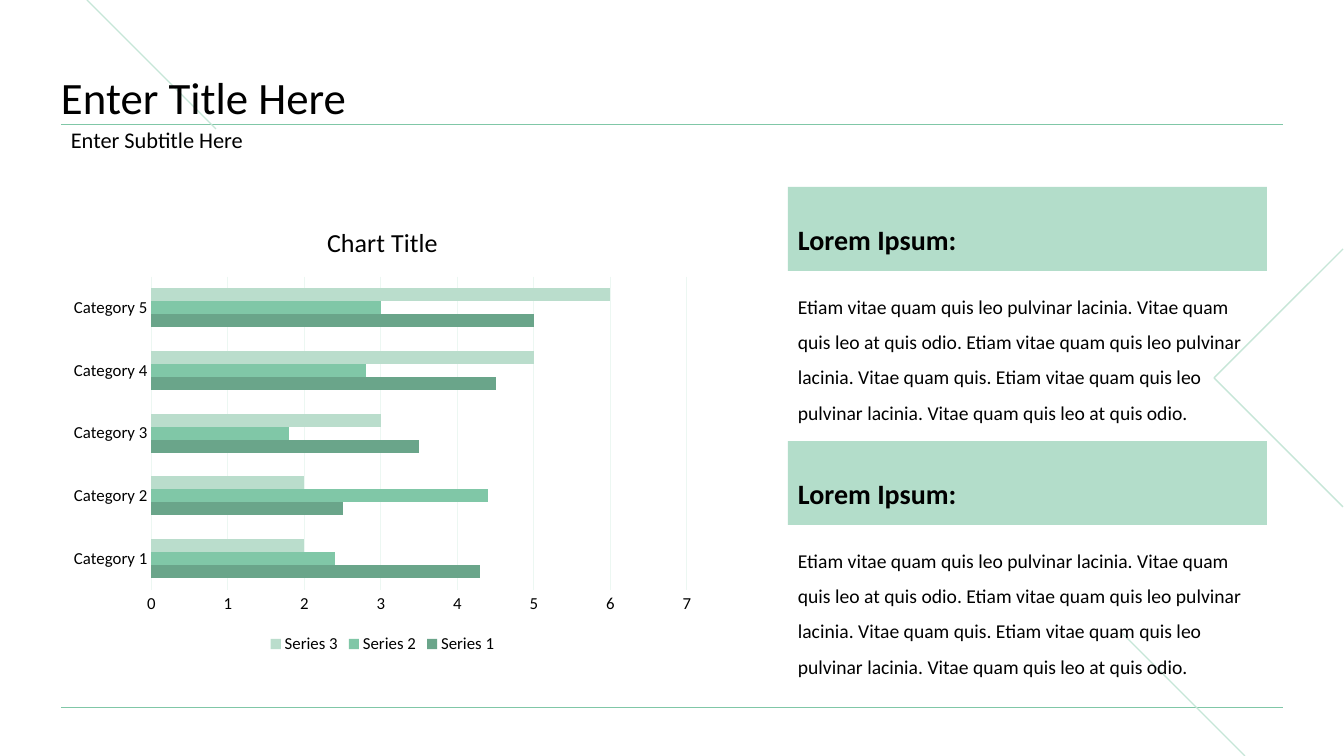
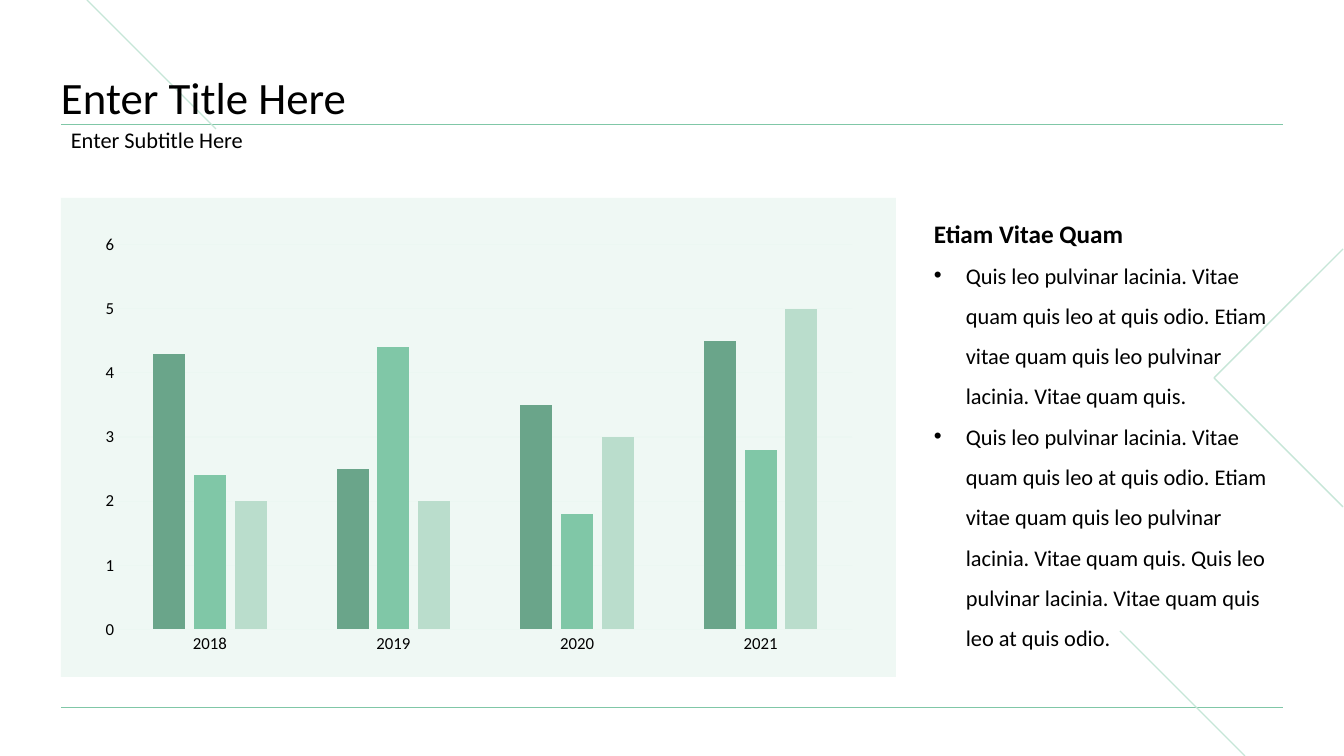
"""Build two chart slides that share one green line-art layout."""
from lxml.etree import SubElement
from pptx import Presentation
from pptx.chart.data import CategoryChartData
from pptx.dml.color import RGBColor
from pptx.enum.chart import XL_CHART_TYPE, XL_LEGEND_POSITION, XL_TICK_MARK
from pptx.enum.shapes import MSO_CONNECTOR, MSO_SHAPE
from pptx.enum.text import MSO_ANCHOR, MSO_AUTO_SIZE, PP_ALIGN
from pptx.oxml.ns import qn
from pptx.util import Emu, Pt

SCALE = 914400 / 100.8
FONT = "Calibri"
BLACK = RGBColor(0x00, 0x00, 0x00)
RULE = RGBColor(0x80, 0xC7, 0xA7)
LINE_ART = RGBColor(0xC6, 0xE6, 0xD7)
GRID = RGBColor(0xEC, 0xF7, 0xF2)
BAND = RGBColor(0xB3, 0xDD, 0xCA)
PANEL = RGBColor(0xCC, 0xE9, 0xDC)
SERIES_COLORS = [RGBColor(0x6A, 0xA5, 0x8A), RULE, RGBColor(0xBA, 0xDD, 0xCC)]

SLIDE_SIZE = (1344, 756)
TITLE = "Enter Title Here"
SUBTITLE = "Enter Subtitle Here"
TITLE_BOX = (61, 44, 1222, 80)
SUBTITLE_BOX = (61, 124, 1222, 34)
LAYOUT_LINES = [
    ((61, 707), (1283, 707), RULE, 0.5),
    ((61, 124), (1283, 124), RULE, 0.5),
    ((1120, 631), (1245, 756), LINE_ART, 1),
    ((87, 0), (216, 129), LINE_ART, 1),
]
CHEVRON = [(1343, 249), (1214, 378), (1343, 507)]

BAR_CATEGORIES = [f"Category {number}" for number in range(1, 6)]
BAR_SERIES = {
    "Series 1": (4.3, 2.5, 3.5, 4.5, 5),
    "Series 2": (2.4, 4.4, 1.8, 2.8, 3),
    "Series 3": (2, 2, 3, 5, 6),
}
COLUMN_CATEGORIES = ["2018", "2019", "2020", "2021"]
COLUMN_SERIES = {name: values[:4] for name, values in BAR_SERIES.items()}

BLOCK_TEXT = (
    "Etiam vitae quam quis leo pulvinar lacinia. Vitae quam quis leo at quis odio. "
    "Etiam vitae quam quis leo pulvinar lacinia. Vitae quam quis. "
    "Etiam vitae quam quis leo pulvinar lacinia. Vitae quam quis leo at quis odio."
)
BLOCKS = [("Lorem Ipsum:", BLOCK_TEXT), ("Lorem Ipsum:", BLOCK_TEXT)]
BLOCK_TOP, BLOCK_STEP = 187, 254

SIDE_HEADING = "Etiam Vitae Quam"
SIDE_BULLETS = [
    "Quis leo pulvinar lacinia. Vitae quam quis leo at quis odio. "
    "Etiam vitae quam quis leo pulvinar lacinia. Vitae quam quis.",
    "Quis leo pulvinar lacinia. Vitae quam quis leo at quis odio. "
    "Etiam vitae quam quis leo pulvinar lacinia. Vitae quam quis. "
    "Quis leo pulvinar lacinia. Vitae quam quis leo at quis odio.",
]


def px(length):
    return Emu(round(length * SCALE))


def box(lengths):
    return [px(length) for length in lengths]


def set_font(font, size, bold=False):
    font.name = FONT
    font.size = Pt(size)
    font.bold = bold
    font.color.rgb = BLACK


def set_line(line, color, width):
    line.color.rgb = color
    line.width = Pt(width)


def write(paragraph, text, size, bold=False, spacing=1.5, bullet=False):
    paragraph.line_spacing = spacing
    paragraph.alignment = PP_ALIGN.LEFT
    if bullet:
        properties = paragraph._p.get_or_add_pPr()
        properties.set("marL", str(px(32)))
        properties.set("indent", str(-px(32)))
        SubElement(properties, qn("a:buFont")).set("typeface", "Arial")
        SubElement(properties, qn("a:buChar")).set("char", "•")
    run = paragraph.add_run()
    run.text = text
    set_font(run.font, size, bold)


def add_text(slide, bounds, text, size, anchor=MSO_ANCHOR.TOP, **text_format):
    frame = slide.shapes.add_textbox(*box(bounds)).text_frame
    frame.word_wrap = True
    frame.vertical_anchor = anchor
    write(frame.paragraphs[0], text, size, **text_format)
    return frame


def add_rectangle(slide, bounds, color, opacity=None):
    shape = slide.shapes.add_shape(MSO_SHAPE.RECTANGLE, *box(bounds))
    shape.shadow.inherit = False
    shape.fill.solid()
    shape.fill.fore_color.rgb = color
    shape.line.fill.background()
    if opacity is not None:
        color_element = shape.element.spPr.find(qn("a:solidFill"))[0]
        SubElement(color_element, qn("a:alpha")).set("val", str(opacity * 1000))


def decorate_layout(layout, slide):
    for placeholder in list(layout.placeholders)[1:]:
        layout.shapes.element.remove(placeholder.element)
    shapes = []
    for start, end, color, width in LAYOUT_LINES:
        connector = slide.shapes.add_connector(MSO_CONNECTOR.STRAIGHT, *box(start + end))
        set_line(connector.line, color, width)
        SubElement(connector.element.spPr, qn("a:effectLst"))
        shapes.append(connector)
    builder = slide.shapes.build_freeform(*CHEVRON[0], scale=SCALE)
    builder.add_line_segments(CHEVRON[1:], close=False)
    chevron = builder.convert_to_shape()
    chevron.shadow.inherit = False
    chevron.fill.background()
    set_line(chevron.line, LINE_ART, 1)
    for shape in shapes + [chevron]:
        layout.shapes.element.append(shape.element)


def add_headings(slide):
    title = slide.shapes.title
    title.left, title.top, title.width, title.height = box(TITLE_BOX)
    frame = title.text_frame
    frame.margin_left = frame.margin_top = frame.margin_right = frame.margin_bottom = 0
    frame.vertical_anchor = MSO_ANCHOR.BOTTOM
    frame.auto_size = MSO_AUTO_SIZE.NONE
    write(frame.paragraphs[0], TITLE, 32, spacing=0.9)
    add_text(slide, SUBTITLE_BOX, SUBTITLE, 16, anchor=MSO_ANCHOR.MIDDLE, spacing=0.9)


def add_bars(slide, chart_type, bounds, categories, series, maximum, gap, overlap):
    data = CategoryChartData()
    data.categories = categories
    for name, values in series.items():
        data.add_series(name, values)
    chart = slide.shapes.add_chart(chart_type, *box(bounds), data).chart
    set_font(chart.font, 10)
    chart.has_title = False
    chart.has_legend = False
    plot = chart.plots[0]
    plot.gap_width, plot.overlap = gap, overlap
    plot.vary_by_categories = False
    for bars, color in zip(plot.series, SERIES_COLORS):
        bars.format.fill.solid()
        bars.format.fill.fore_color.rgb = color
    for axis in (chart.category_axis, chart.value_axis):
        axis.major_tick_mark = axis.minor_tick_mark = XL_TICK_MARK.NONE
        set_font(axis.tick_labels.font, 12)
    set_line(chart.category_axis.format.line, GRID, 0.75)
    values_axis = chart.value_axis
    values_axis.format.line.fill.background()
    values_axis.minimum_scale, values_axis.maximum_scale = 0, maximum
    values_axis.major_unit = 1
    values_axis.has_major_gridlines = True
    set_line(values_axis.major_gridlines.format.line, GRID, 0.75)
    return chart


def build_bar_slide(slide):
    add_headings(slide)
    chart = add_bars(slide, XL_CHART_TYPE.BAR_CLUSTERED, (61, 205, 643, 453),
                     BAR_CATEGORIES, BAR_SERIES, maximum=7, gap=182, overlap=0)
    chart.has_title = True
    write(chart.chart_title.text_frame.paragraphs[0], "Chart Title", 18.6, spacing=1.0)
    chart.has_legend = True
    chart.legend.position = XL_LEGEND_POSITION.BOTTOM
    chart.legend.include_in_layout = False
    set_font(chart.legend.font, 12)
    for index, (heading, text) in enumerate(BLOCKS):
        top = BLOCK_TOP + index * BLOCK_STEP
        add_rectangle(slide, (788, top, 479, 84), BAND)
        add_text(slide, (788, top + 91, 479, 149), text, 14)
        add_text(slide, (788, top + 14, 479, 55), heading, 20, bold=True)


def build_column_slide(slide):
    add_headings(slide)
    add_rectangle(slide, (61, 198, 835, 479), PANEL, opacity=30)
    add_bars(slide, XL_CHART_TYPE.COLUMN_CLUSTERED, (90, 226, 778, 436),
             COLUMN_CATEGORIES, COLUMN_SERIES, maximum=6, gap=219, overlap=-27)
    frame = add_text(slide, (924, 198, 359, 459), SIDE_HEADING, 18, bold=True)
    for text in SIDE_BULLETS:
        write(frame.add_paragraph(), text, 16, bullet=True)


def main():
    presentation = Presentation()
    presentation.slide_width, presentation.slide_height = box(SLIDE_SIZE)
    layout = presentation.slide_layouts[5]
    bar_slide, column_slide = [presentation.slides.add_slide(layout) for _ in range(2)]
    decorate_layout(layout, bar_slide)
    build_bar_slide(bar_slide)
    build_column_slide(column_slide)
    presentation.save("out.pptx")


if __name__ == "__main__":
    main()
